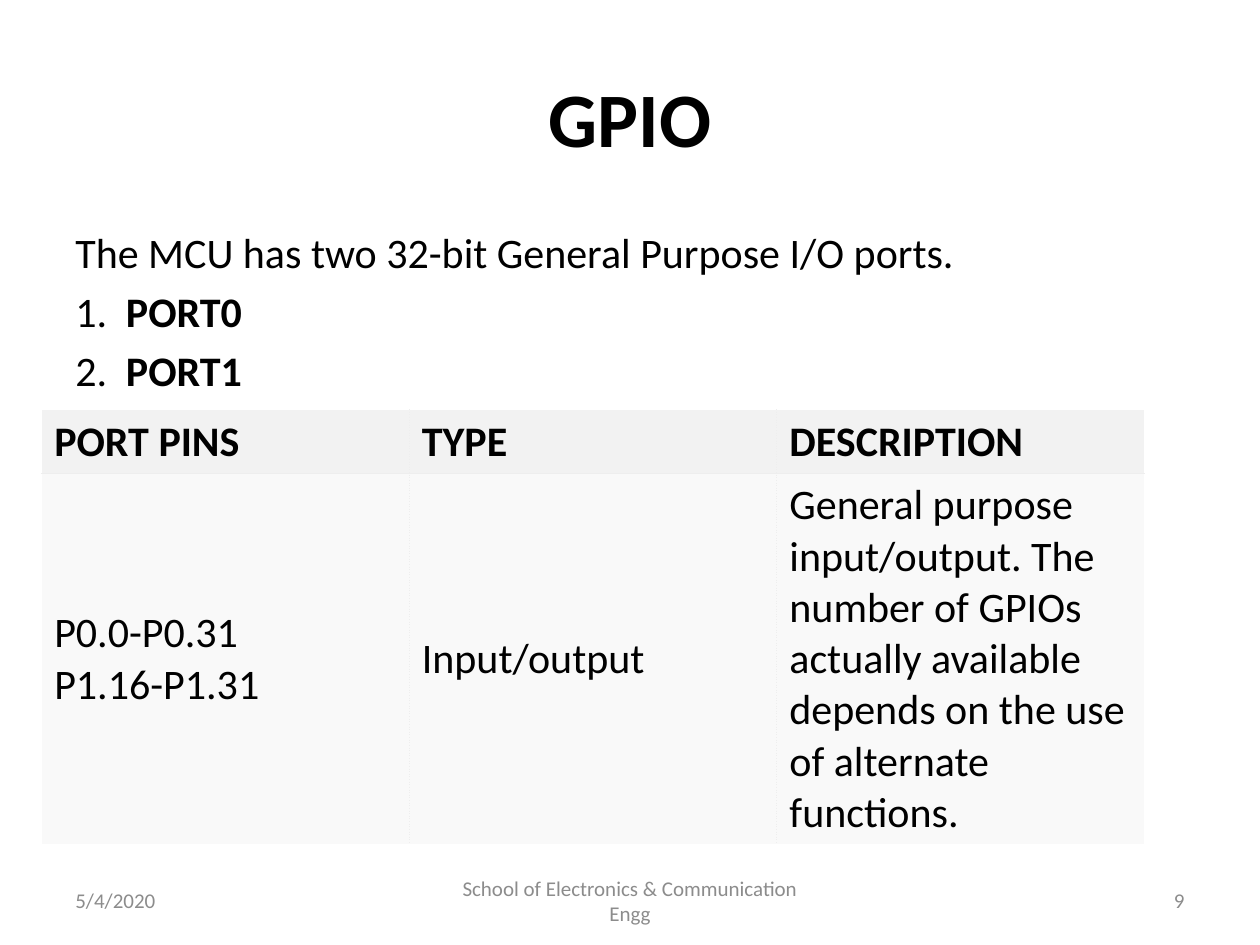
from lxml import etree
from pptx import Presentation
from pptx.dml.color import RGBColor
from pptx.enum.text import MSO_ANCHOR, PP_ALIGN
from pptx.oxml.ns import qn
from pptx.util import Cm, Pt

LEFT, CENTER, RIGHT = PP_ALIGN.LEFT, PP_ALIGN.CENTER, PP_ALIGN.RIGHT
TOP, MIDDLE = MSO_ANCHOR.TOP, MSO_ANCHOR.MIDDLE
TITLE_ONLY = 5
FONT = "Calibri"
BLACK, GREY, BORDER = "000000", "8C8C8C", "EEEEEE"
HEADER_FILL, BODY_FILL = "F2F2F2", "F9F9F9"
NUMBER_TAB = Cm(1.02)


def rgb(value):
    return RGBColor.from_string(value)


def style(p, size, color=BLACK, bold=None, align=LEFT):
    p.alignment = align
    p.font.name = FONT
    p.font.size = Pt(size)
    p.font.bold = bold
    p.font.color.rgb = rgb(color)


def add_title(s, text):
    title = s.shapes.title
    title.left, title.top, title.width, title.height = Cm(1.27), Cm(0.76), Cm(22.86), Cm(3.18)
    tf = title.text_frame
    tf.text = text
    tf.vertical_anchor = MIDDLE
    style(tf.paragraphs[0], 44, bold=True, align=CENTER)


def add_text_box(s, left, top, width, height, anchor):
    tf = s.shapes.add_textbox(Cm(left), Cm(top), Cm(width), Cm(height)).text_frame
    tf.word_wrap = True
    tf.vertical_anchor = anchor
    return tf


def add_numbered(tf, number, text):
    """Add a line with a plain number and a bold name at a tab stop."""
    p = tf.add_paragraph()
    tabs = etree.SubElement(p._p.get_or_add_pPr(), qn("a:tabLst"))
    etree.SubElement(tabs, qn("a:tab"), pos=str(NUMBER_TAB), algn="l")
    style(p, 24)
    p.space_before = Pt(4.8)
    p.add_run().text = f"{number}.\t"
    r = p.add_run()
    r.text = text
    r.font.bold = True


def add_border(cell, side, dash):
    ln = etree.SubElement(cell._tc.get_or_add_tcPr(), qn(f"a:ln{side}"), w=str(Pt(0.75)))
    fill = etree.SubElement(ln, qn("a:solidFill"))
    etree.SubElement(fill, qn("a:srgbClr"), val=BORDER)
    etree.SubElement(ln, qn("a:prstDash"), val=dash)


def add_pin_table(s, rows, row_heights, col_width):
    n_rows, n_cols = len(rows), len(rows[0])
    table = s.shapes.add_table(n_rows, n_cols, Cm(0.84), Cm(8.26),
                               Cm(col_width * n_cols), Cm(sum(row_heights))).table
    for col in table.columns:
        col.width = Cm(col_width)
    for i, texts in enumerate(rows):
        table.rows[i].height = Cm(row_heights[i])
        for j, text in enumerate(texts):
            cell = table.cell(i, j)
            # Inner borders only: dotted between columns, solid between rows
            inner = (("L", j > 0, "sysDot"), ("R", j < n_cols - 1, "sysDot"),
                     ("T", i > 0, "solid"), ("B", i < n_rows - 1, "solid"))
            for side, wanted, dash in inner:
                if wanted:
                    add_border(cell, side, dash)
            cell.fill.solid()
            cell.fill.fore_color.rgb = rgb(BODY_FILL if i else HEADER_FILL)
            cell.vertical_anchor = MIDDLE
            p = cell.text_frame.paragraphs[0]
            p.text = text
            style(p, 24, bold=i == 0)


def add_footer(s, text, left, width, align):
    p = add_text_box(s, left, 17.65, width, 1.01, MIDDLE).paragraphs[0]
    p.text = text
    style(p, 12, GREY, align=align)


def main():
    prs = Presentation()
    prs.slide_width, prs.slide_height = Cm(25.4), Cm(19.05)
    s = prs.slides.add_slide(prs.slide_layouts[TITLE_ONLY])

    add_title(s, "GPIO")

    # Introduction and list of ports
    tf = add_text_box(s, 1.27, 4.45, 22.86, 3.7, TOP)
    tf.text = "The MCU has two 32-bit General Purpose I/O ports."
    style(tf.paragraphs[0], 24)
    for number, port in enumerate(("PORT0", "PORT1"), start=1):
        add_numbered(tf, number, port)

    # Pin table
    add_pin_table(s, [
        ("PORT PINS", "TYPE", "DESCRIPTION"),
        ("P0.0-P0.31\vP1.16-P1.31", "Input/output",
         "General purpose input/output. The number of GPIOs actually available "
         "depends on the use of alternate functions."),
    ], row_heights=(1.29, 7.48), col_width=7.41)

    # Footer
    add_footer(s, "5/4/2020", 1.27, 5.93, LEFT)
    add_footer(s, "School of Electronics & Communication Engg", 8.68, 8.04, CENTER)
    add_footer(s, "9", 18.2, 5.93, RIGHT)

    prs.save("out.pptx")


if __name__ == "__main__":
    main()
